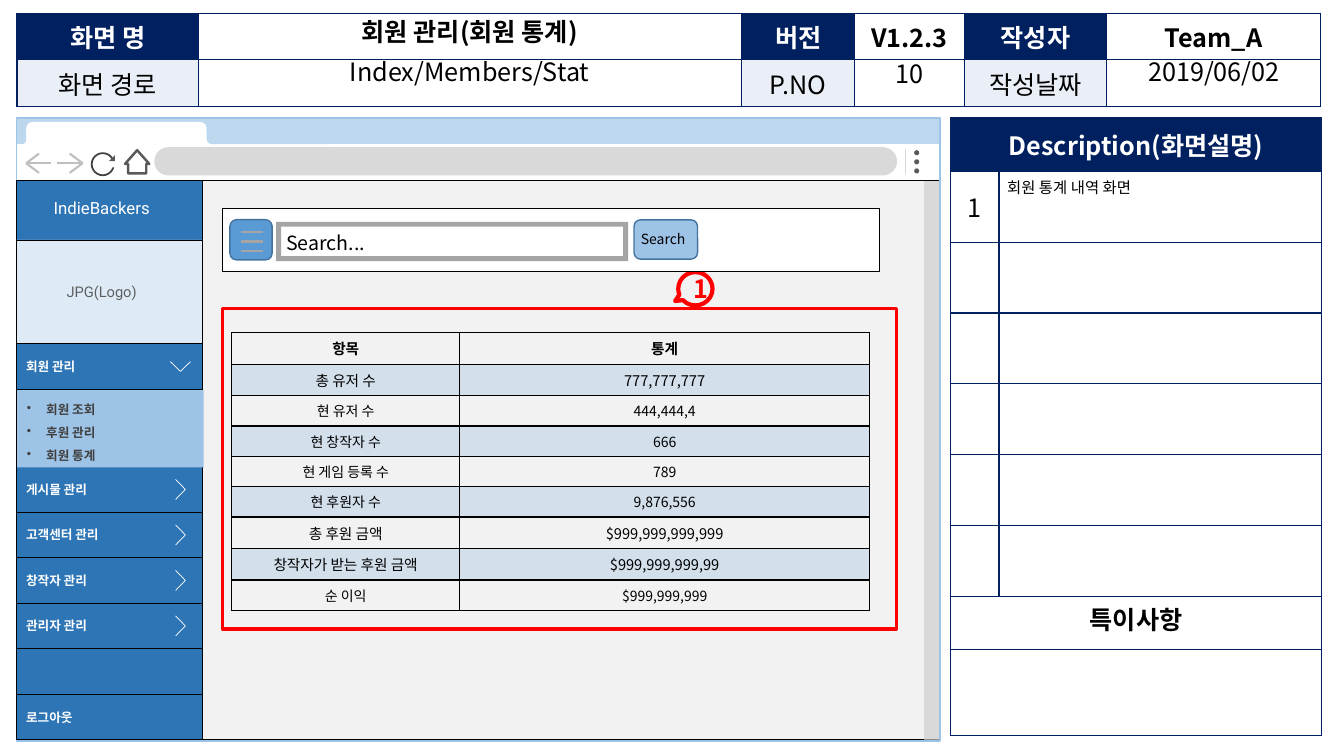
from pptx import Presentation
from pptx.dml.color import RGBColor
from pptx.enum.shapes import MSO_CONNECTOR, MSO_SHAPE
from pptx.enum.text import MSO_ANCHOR, MSO_AUTO_SIZE, PP_ALIGN
from pptx.oxml.xmlchemy import OxmlElement
from pptx.util import Pt

RECT, ROUND, OVAL = MSO_SHAPE.RECTANGLE, MSO_SHAPE.ROUNDED_RECTANGLE, MSO_SHAPE.OVAL
TRI, DOWN, FRAME = MSO_SHAPE.ISOSCELES_TRIANGLE, MSO_SHAPE.DOWN_ARROW, MSO_SHAPE.FRAME
CALL = MSO_SHAPE.OVAL_CALLOUT
LINE = MSO_CONNECTOR.STRAIGHT
LEFT, MID = PP_ALIGN.LEFT, PP_ALIGN.CENTER
TOP, CENTER = MSO_ANCHOR.TOP, MSO_ANCHOR.MIDDLE
NOTO, ROBOTO = "Noto Sans CJK KR", "Roboto"
INK = {
    "white": "FFFFFF", "black": "000000", "navy": "002060", "mist": "EAEFF7",
    "page": "F2F2F2", "rail": "D9D9D9", "dot": "595959", "tab": "BDD7EE",
    "arrow": "BFBFBF", "dark": "404040", "sky": "9DC3E6", "menu": "2E75B6",
    "logo": "DEEBF7", "gray": "5F5F5F", "blue": "5B9BD5", "edge": "43739E",
    "steel": "A5A5A5", "red": "FF0000",
}


def tint(name):
    return RGBColor.from_string(INK[name])


def paint(fill, name):
    if name:
        fill.solid()
        fill.fore_color.rgb = tint(name)
    else:
        fill.background()


def stroke(line, name, width):
    paint(line.fill, name)
    if name:
        line.width = Pt(width)


def shape(art, kind, x, y, w, h, fill=None, line=None, width=0.5, adj=()):
    item = art.add_shape(kind, Pt(x), Pt(y), Pt(w), Pt(h))
    item.shadow.inherit = False
    paint(item.fill, fill)
    stroke(item.line, line, width)
    for i, value in enumerate(adj):
        item.adjustments[i] = value
    return item


def rule(art, x1, y1, x2, y2, name, width):
    line = art.add_connector(LINE, Pt(x1), Pt(y1), Pt(x2), Pt(y2))
    stroke(line.line, name, width)
    line._element.spPr.append(OxmlElement("a:effectLst"))


def write(para, text, size, name="black", bold=False, font=NOTO, align=MID):
    para.alignment = align
    run = para.add_run()
    run.text = text
    run.font.size, run.font.bold, run.font.name = Pt(size), bold, font
    run.font.color.rgb = tint(name)
    east = OxmlElement("a:ea")
    east.set("typeface", NOTO)
    run._r.get_or_add_rPr().append(east)


def label(art, x, y, w, h, text, size, align=LEFT, anchor=TOP):
    box = art.add_textbox(Pt(x), Pt(y), Pt(w), Pt(h))
    frame = box.text_frame
    frame.word_wrap = True
    frame.vertical_anchor = anchor
    write(frame.paragraphs[0], text, size, align=align)


def grid(art, x, y, cols, rows, edge):
    item = art.add_table(len(rows), len(cols), Pt(x), Pt(y), Pt(sum(cols)), Pt(sum(rows)))
    table = item.table
    table.first_row = table.horz_banding = False
    for col, width in zip(table.columns, cols):
        col.width = Pt(width)
    for row, height in zip(table.rows, rows):
        row.height = Pt(height)
    for cell in table.iter_cells():
        props = cell._tc.get_or_add_tcPr()
        for side in ("L", "R", "T", "B"):
            line = OxmlElement("a:ln" + side)
            line.set("w", str(Pt(1)))
            fill, color = OxmlElement("a:solidFill"), OxmlElement("a:srgbClr")
            color.set("val", INK[edge])
            fill.append(color)
            line.append(fill)
            props.append(line)
        cell.fill.background()
    return table


def head(slide, x, y):
    art = slide.shapes
    cols = [129.6, 388.1, 80.6, 78.5, 101.5, 152.6]
    table = grid(art, x, y, cols, [33.3, 33.3], "navy")
    texts = [["화면 명", "", "버전", "V1.2.3", "작성자", "Team_A"],
             ["화면 경로", "", "P.NO", "", "작성날짜", ""]]
    for r, row in enumerate(texts):
        for c, text in enumerate(row):
            cell = table.cell(r, c)
            key = c % 2 == 0
            paint(cell.fill, ("navy", "mist")[r] if key else "white")
            if text:
                name = "white" if key and r == 0 else "black"
                write(cell.text_frame.paragraphs[0], text, 18, name, r == 0)
    spots = [("회원 관리(회원 통계)", 129.6, 0.7, 387.4, True),
             ("Index/Members/Stat", 129.6, 29.5, 387.4, False),
             ("2019/06/02", 779, 29.5, 152, False)]
    for hold, (text, dx, dy, w, bold) in zip(list(slide.placeholders), spots):
        hold.left, hold.top, hold.width, hold.height = Pt(x + dx), Pt(y + dy), Pt(w), Pt(27.4)
        frame = hold.text_frame
        frame.auto_size = MSO_AUTO_SIZE.NONE
        frame.vertical_anchor = CENTER
        para = frame.paragraphs[0]
        write(para, text, 18, bold=bold)
        para.line_spacing = 0.9
        props = para._p.get_or_add_pPr()
        props.set("marL", "0")
        props.set("indent", "0")
        props.append(OxmlElement("a:buNone"))
        hold.element.getparent().append(hold.element)
    label(art, x + 598.4, y + 29.5, 77.8, 27.4, "10", 18, MID, CENTER)


def browser(art, x, y, w, h):
    shape(art, RECT, x - 0.5, y + 44, w, h - 44.7, "page", "black")
    shape(art, RECT, x + w - 11.3, y + 44.6, 11.5, h - 45.4, "rail")
    shape(art, RECT, x, y + 18, w, 26.6, "white", "black")
    shape(art, ROUND, x + 98.2, y + 20.9, 530.6, 20.2, "rail", adj=[0.5])
    for i in range(3):
        shape(art, OVAL, x + 641, y + 23.1 + 6.5 * i, 3.6, 3.6, "dot")
    rule(art, x + 634.6, y + 22.4, x + 634.6, y + 40.4, "rail", 1)
    shape(art, RECT, x, y, w, 18.7, "tab")
    mid = y + 32.4
    for tip, way in ((x + 6.7, 1), (x + 47, -1)):
        for dx, dy in ((18, 0), (9.2, -6.9), (9.2, 6.9)):
            rule(art, tip, mid, tip + way * dx, mid + dy, "arrow", 1.5)
    shape(art, OVAL, x + 53.5, y + 25.2, 15.8, 15.8, None, "dark", 1.25)
    shape(art, RECT, x + 66.5, y + 29.6, 5.8, 5.8, "white")
    shape(art, TRI, x + 65.8, y + 26.7, 4.3, 4.3, "dot", adj=[1])
    home = shape(art, DOWN, x + 77.3, y + 23.1, 17.3, 16.6, "white", "dot", 1.75, [0.75, 0.586])
    home.rotation = 180
    for dx, dy, tw, th, fill, adj in (
        (6.7, 2.9, 128.9, 16.6, "white", 0.276),
        (123.4, 9.4, 24.5, 10.8, "white", 0.167),
        (135.6, 4.4, 91.4, 14.4, "tab", 0.276),
        (3.1, 9.4, 9.4, 10.8, "white", 0.167),
        (0.2, 4.4, 6.5, 14.4, "tab", 0.462),
    ):
        shape(art, ROUND, x + dx, y + dy, tw, th, fill, adj=[adj])
    shape(art, RECT, x, y, w, h, None, "sky", 1)


def panel(art, x, y, w, h, fill, line="black"):
    item = shape(art, RECT, x, y, w, h, fill, line)
    frame = item.text_frame
    frame.word_wrap = True
    frame.margin_right = Pt(18)
    frame.vertical_anchor = CENTER
    return frame


def entry(art, x, y, w, text, points=()):
    frame = panel(art, x, y, w, 32.4, "menu")
    write(frame.paragraphs[0], text, 9, "white", True, ROBOTO, LEFT)
    if points:
        spots = [(Pt(x + 117.4 + dx), Pt(y + 16.2 + dy)) for dx, dy in points]
        path = art.build_freeform(*spots[0], scale=1.0)
        path.add_line_segments(spots[1:], close=False)
        mark = path.convert_to_shape()
        mark.shadow.inherit = False
        mark.fill.background()
        stroke(mark.line, "white", 0.5)


def side(art, x, y, w, h):
    frame = panel(art, x, y, w, h, "menu")
    frame.vertical_anchor = TOP
    frame.margin_top = Pt(12)
    write(frame.paragraphs[0], "IndieBackers", 12, "white", font=ROBOTO)
    frame = panel(art, x, y + 42.5, w, 74.2, "logo")
    write(frame.paragraphs[0], "JPG(Logo)", 10.5, "gray", font=ROBOTO)
    entry(art, x, y + h - 32.4, w, "로그아웃")
    right = ((-3.5, 7.2), (3.5, 0), (-3.5, -7.2))
    for i, text in enumerate(("게시물 관리", "고객센터 관리", "창작자 관리", "관리자 관리")):
        entry(art, x, y + 204.5 + 32.5 * i, w, text, right)
    frame = panel(art, x + 0.7, y + 149.7, w, 55.4, "sky", None)
    for i, text in enumerate(("회원 조회", "후원 관리", "회원 통계")):
        para = frame.add_paragraph() if i else frame.paragraphs[0]
        write(para, text, 9, "dark", True, ROBOTO, LEFT)
        para.line_spacing = 1.5
        props = para._p.get_or_add_pPr()
        props.set("marL", str(Pt(13.7)))
        props.set("indent", str(-Pt(13.7)))
        dot = OxmlElement("a:buChar")
        dot.set("char", "•")
        props.append(dot)
    entry(art, x, y + 116.7, w, "회원 관리", ((-7.2, -3.5), (0, 3.5), (7.2, -3.5)))


def notes(art, x, y):
    rows = [38.2] + [50.6] * 6 + [38.2, 61.2]
    table = grid(art, x, y, [34.6, 230.4], rows, "navy")
    for cell in table.iter_cells():
        cell.margin_left = cell.margin_right = Pt(5.8)
        cell.margin_top = cell.margin_bottom = Pt(2.9)
    for r in (0, 7, 8):
        table.cell(r, 0).merge(table.cell(r, 1))
    paint(table.cell(0, 0).fill, "navy")
    for r, c, text, size, name, bold, align, anchor in (
        (0, 0, "Description(화면설명)", 18, "white", True, MID, CENTER),
        (1, 0, "1", 18, "black", False, MID, CENTER),
        (1, 1, "회원 통계 내역 화면", 11, "black", False, LEFT, TOP),
        (7, 0, "특이사항", 18, "black", True, MID, TOP),
    ):
        cell = table.cell(r, c)
        cell.vertical_anchor = anchor
        write(cell.text_frame.paragraphs[0], text, size, name, bold, align=align)


def stats(art, x, y, w, h):
    data = [("항목", "통계", 10.5), ("총 유저 수", "777,777,777", 10.5),
            ("현 유저 수", "444,444,4", 10), ("현 창작자 수", "666", 10),
            ("현 게임 등록 수", "789", 10), ("현 후원자 수", "9,876,556", 10),
            ("총 후원 금액", "$999,999,999,999", 10.5),
            ("창작자가 받는 후원 금액", "$999,999,999,99", 10.5),
            ("순 이익", "$999,999,999", 10)]
    rows = [22.5 if size > 10 else 21.7 for _, _, size in data]
    table = grid(art, x + 6.5, y + 17.3, [162.7, 293], rows, "black")
    for r, (*pair, size) in enumerate(data):
        for c, text in enumerate(pair):
            cell = table.cell(r, c)
            cell.vertical_anchor = CENTER
            write(cell.text_frame.paragraphs[0], text, size, bold=r == 0)
            if r % 2:
                paint(cell.fill, "blue")
                alpha = OxmlElement("a:alpha")
                alpha.set("val", "20000")
                cell._tc.tcPr.find(".//{*}solidFill[last()]")
                cell._tc.tcPr.xpath("./a:solidFill/a:srgbClr")[0].append(alpha)
    shape(art, RECT, x, y, w, h, None, "red", 2.25)
    mark = shape(art, CALL, x + 325.4, y - 25.9, 24.5, 23.8, None, "red", 3, [-0.593, 0.369])
    mark.text_frame.vertical_anchor = CENTER
    write(mark.text_frame.paragraphs[0], "1", 18, "red", True)


def search(art, x, y, w, h):
    shape(art, RECT, x, y, w, h, "white", "black")
    shape(art, ROUND, x + 5.1, y + 7.9, 30.2, 28.8, "blue", "edge", 1)
    for i in range(3):
        line = y + 16.6 + 6.9 * i
        rule(art, x + 13, line, x + 28.8, line, "steel", 1.5)
    shape(art, FRAME, x + 38.2, y + 9.4, 251.3, 28.1, "steel", adj=[0.125])
    label(art, x + 38.2, y + 12.3, 79.9, 24.5, "Search...", 14)
    shape(art, ROUND, x + 293.8, y + 8, 45.4, 28.1, "sky", "edge", 1)
    label(art, x + 291.6, y + 12.3, 54.7, 19.4, "Search", 10)


def main():
    deck = Presentation()
    deck.slide_width, deck.slide_height = Pt(960), Pt(540)
    slide = deck.slides.add_slide(deck.slide_layouts[3])
    art = slide.shapes
    browser(art, 12, 84.2, 659.5, 445)
    head(slide, 12.2, 9.4)
    side(art, 11.5, 128.9, 133.2, 399.6)
    notes(art, 679, 84.2)
    stats(art, 159.1, 220.3, 481, 229)
    search(art, 159.1, 149, 469.4, 44.6)
    deck.save("out.pptx")


if __name__ == "__main__":
    main()
